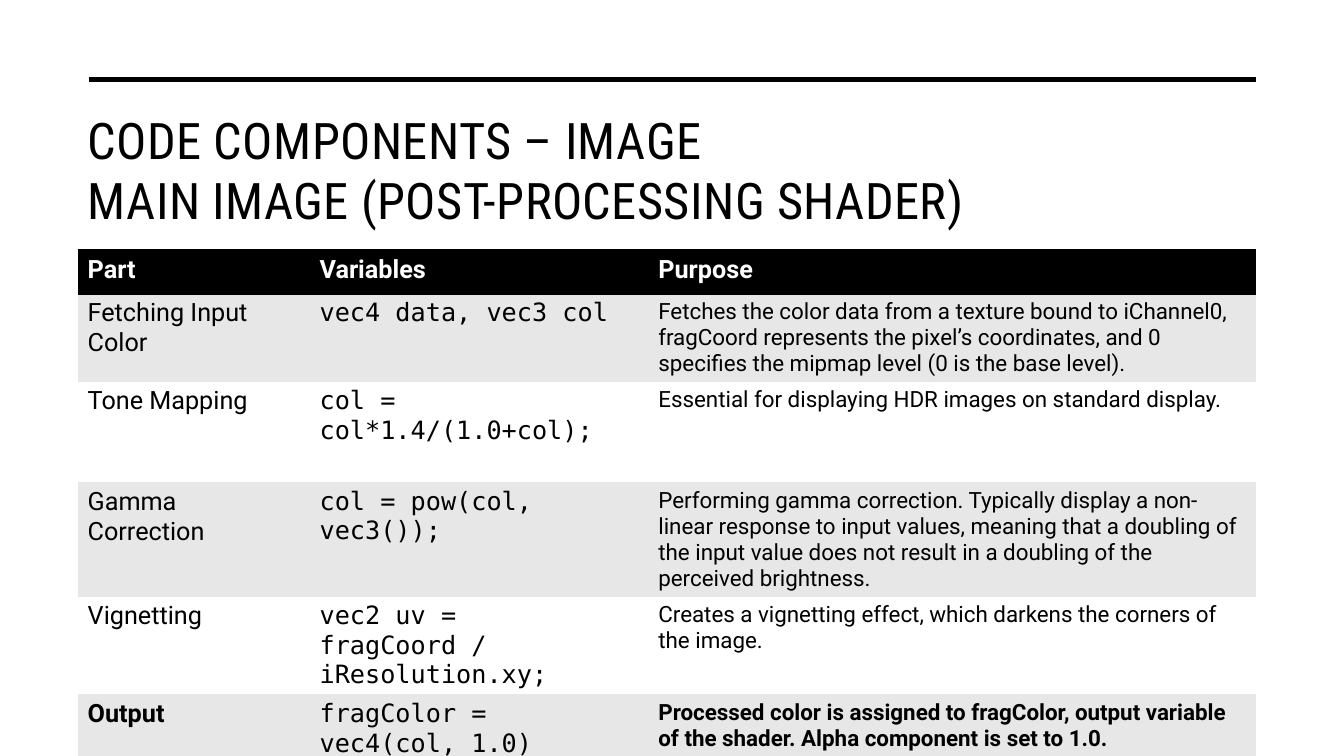
from dataclasses import dataclass

from lxml.etree import SubElement
from pptx import Presentation
from pptx.dml.color import RGBColor as Color
from pptx.enum.shapes import MSO_CONNECTOR as Line
from pptx.enum.text import MSO_ANCHOR as Anchor, MSO_AUTO_SIZE as Fit, PP_ALIGN as Align
from pptx.oxml import parse_xml
from pptx.oxml.ns import nsdecls, qn
from pptx.util import Inches, Pt


@dataclass
class Theme:
    black: Color = Color(0, 0, 0)
    white: Color = Color(255, 255, 255)
    gray: Color = Color(0xE7, 0xE7, 0xE7)
    head: str = "Roboto Condensed"
    body: str = "Roboto"
    mono: str = "DejaVu Sans Mono"
    title: int = 36
    label: int = 18
    note: int = 16


theme = Theme()


def style(par, font, size, color, bold=False):
    for run in par.runs:
        run.font.name = font
        run.font.size = Pt(size)
        run.font.color.rgb = color
        run.font.bold = bold


def rule(cell, side, spot):
    """Draw a black 2 pt border on one side of a cell."""
    edge = parse_xml(
        f'<a:{side} {nsdecls("a")} w="{Pt(2)}"><a:solidFill>'
        f'<a:srgbClr val="{theme.black}"/></a:solidFill></a:{side}>')
    cell._tc.get_or_add_tcPr().insert(spot, edge)


# Slide
deck = Presentation()
deck.slide_width, deck.slide_height = Inches(13.33), Inches(7.5)
slide = deck.slides.add_slide(deck.slide_layouts[5])

# Top line
bar = slide.shapes.add_connector(
    Line.STRAIGHT, Inches(0.88), Inches(0.79), Inches(12.46), Inches(0.79))
bar.line.color.rgb = theme.black
bar.line.width = Pt(3.5)
SubElement(bar._element.spPr, qn("a:effectLst"))

# Title
title = slide.shapes.title
title.left, title.top = Inches(0.77), Inches(1)
title.width, title.height = Inches(11.69), Inches(1.43)
frame = title.text_frame
frame.text = "CODE COMPONENTS – IMAGE\vMAIN IMAGE (POST-PROCESSING SHADER)"
frame.word_wrap = True
frame.auto_size = Fit.NONE
frame.vertical_anchor = Anchor.TOP
frame.margin_top = Inches(0.08)
par = frame.paragraphs[0]
par.alignment = Align.LEFT
style(par, theme.head, theme.title, theme.black)
for run in par.runs:
    run.font._element.set("spc", "30")

# Table content
rows = [
    ("Part", "Variables", "Purpose"),
    ("Fetching Input Color", "vec4 data, vec3 col",
     "Fetches the color data from a texture bound to iChannel0, fragCoord "
     "represents the pixel’s coordinates, and 0 specifies the mipmap level "
     "(0 is the base level)."),
    ("Tone Mapping", "col = col*1.4/(1.0+col);",
     "Essential for displaying HDR images on standard display."),
    ("Gamma Correction", "col = pow(col, vec3());",
     "Performing gamma correction. Typically display a non-linear response to "
     "input values, meaning that a doubling of the input value does not result "
     "in a doubling of the perceived brightness."),
    ("Vignetting", "vec2 uv = fragCoord / iResolution.xy;",
     "Creates a vignetting effect, which darkens the corners of the image."),
    ("Output", "fragColor = vec4(col, 1.0)",
     "Processed color is assigned to fragColor, output variable of the shader. "
     "Alpha component is set to 1.0."),
]
widths = [2.3, 3.36, 6.03]
heights = [0.43, 0.87, 1, 1.13, 0.68, 0.68]
fonts = [theme.body, theme.mono, theme.body]
sizes = [theme.label, theme.label, theme.note]
last = len(rows) - 1

# Table frame, with the plain style
table = slide.shapes.add_table(
    len(rows), len(widths), Inches(0.77), Inches(2.48),
    Inches(sum(widths)), Inches(sum(heights))).table
table.horz_banding = False
table._tbl.tblPr.find(qn("a:tableStyleId")).text = "{2D5ABB26-0587-4C30-8999-92F81FD0307C}"
for col, width in zip(table.columns, widths):
    col.width = Inches(width)
for row, height in zip(table.rows, heights):
    row.height = Inches(height)

# Cells: black header, gray and white bands, bold last row except code
for r, texts in enumerate(rows):
    for c, text in enumerate(texts):
        cell = table.cell(r, c)
        cell.text = text
        par = cell.text_frame.paragraphs[0]
        cell.fill.solid()
        if r == 0:
            cell.fill.fore_color.rgb = theme.black
            style(par, theme.body, theme.label, theme.white, True)
            rule(cell, "lnT", 0)
            rule(cell, "lnB", 1)
        else:
            cell.fill.fore_color.rgb = theme.gray if r % 2 else theme.white
            style(par, fonts[c], sizes[c], theme.black, r == last and c != 1)
        if r == last:
            rule(cell, "lnB", 0)

deck.save("out.pptx")
